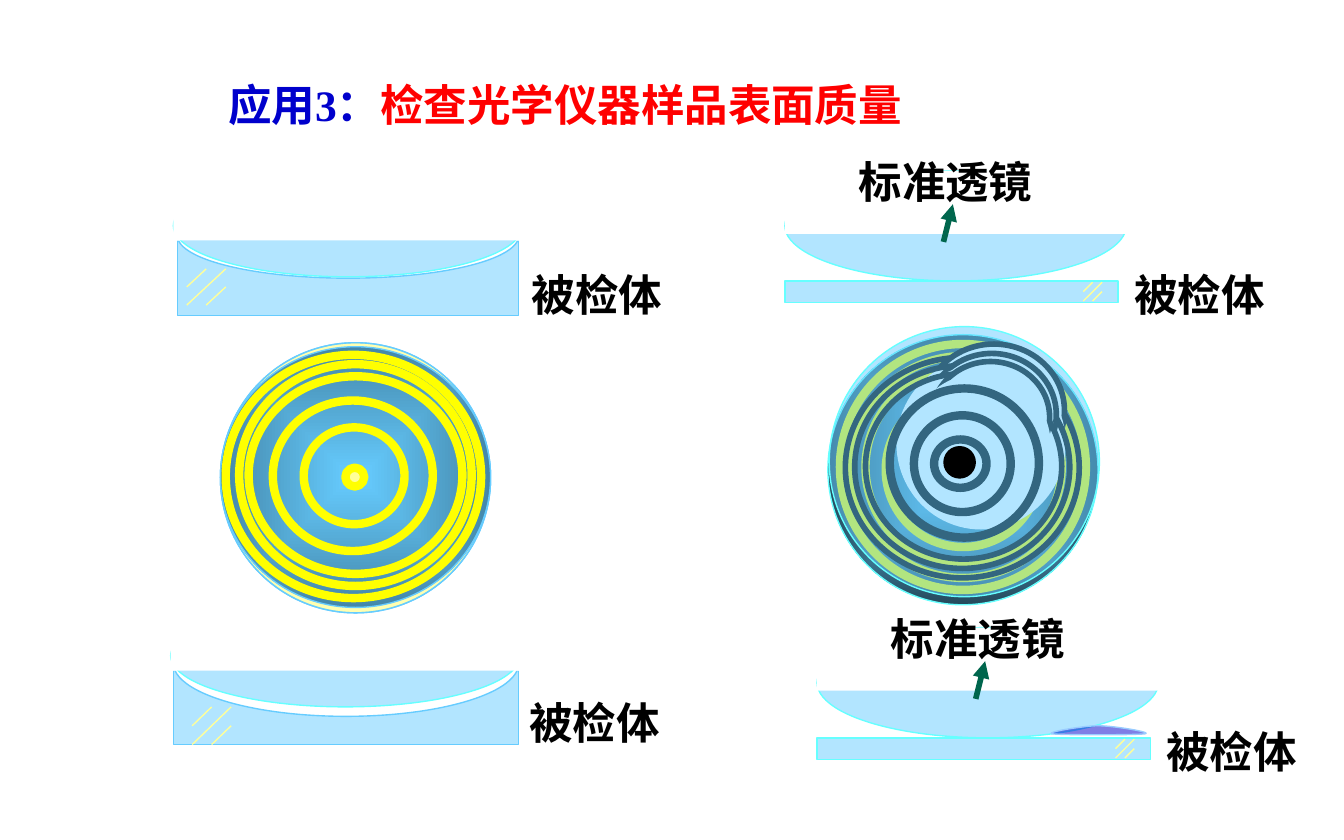
"""Builds a slide on checking optical sample surfaces with interference rings."""
import pptx
import pptx.util
import pptx.dml.color
import pptx.enum.shapes
import pptx.enum.text
import pptx.oxml.ns
from lxml import etree

EMU = 9144
WIDTH, HEIGHT = 1000, 625

THEME = {
    "latin": "Times New Roman", "cjk": "Noto Sans CJK SC", "size": 23.3,
    "ink": "000000", "topic": "0000CC", "headline": "FF0000",
    "hatch": "FFFF99", "arrow": "00664D",
}
STYLES = {
    "glass": ("66CCFF", 50, "66CCFF", 0.75),
    "lens": ("66CCFF", 50, "66FFFF", 0.75),
    "hollow": ("FFFFFF", 100, "66CCFF", 0.75),
    "blank": ("FFFFFF", 100, None, 0),
    "halo": ("FFFF99", 50, "66CCFF", 0.75),
    "left disc": (("66CCFF", "4487A9"), 100, "66CCFF", 0.75),
    "right disc": (("66CCFF", "254A5C"), 100, "66FFFF", 0.75),
    "bright ring": (None, 100, "FFFF00", 4.5),
    "left core": ("FFFF99", 100, "FFFF00", 4.5),
    "right core": ("66CCFF", 100, "FFFF00", 4.5),
    "thin ring": (None, 100, "000000", 3),
    "bump": ("FFFFFF", 100, "000000", 3),
    "dark ring": (None, 100, "000000", 4.5),
    "dark core": ("000000", 100, "000000", 4.5),
    "defect": ("0000CC", 50, "99CCFF", 0.75),
}

TITLE = [("应用3：", "topic"), ("检查光学仪器样品表面质量", "headline")]
TITLE_BOX = (160, 53, 550, 49)
SAMPLE, STANDARD = "被检体", "标准透镜"

CONCAVE = [
    ("rect", "glass", (129, 482, 257, 72)),
    ("oval", "hollow", (129, 454, 257, 79)),
    ("rect", "blank", (122, 443, 279, 56)),
    ("rect", "glass", (132, 172, 254, 63)),
    ("oval", "hollow", (132, 144, 254, 63)),
    ("rect", "blank", (125, 144, 268, 35)),
    ("oval", "lens", (129, 130, 260, 76)),
    ("rect", "blank", (129, 123, 271, 56)),
    ("oval", "lens", (127, 450, 260, 76)),
    ("rect", "blank", (127, 443, 271, 56)),
]
CONCAVE_HATCHES = [(143, 526, 29, 28), (139, 200, 29, 27)]
CONCAVE_LABELS = [(384, 513, 119, 49), (386, 194, 130, 49)]

FLAT_ORIGINS = [(584, 127), (608, 467)]
FLAT = [
    ("rect", "lens", (0, 82, 248, 16)),
    ("oval", "lens", (0, 0, 254, 82)),
    ("rect", "blank", (0, 0, 264, 47)),
]
FLAT_HATCH = (222, 83, 14, 14)
FLAT_LABELS = [(SAMPLE, (250, 67, 118, 49)), (STANDARD, (45, -17, 151, 49))]
FLAT_ARROW = (118, 53, 125, 25)

RINGS = [
    ("halo", [(164, 255, 201, 201)] * 2),
    ("left disc", [(164, 258, 201, 194)]),
    ("bright ring", [(203, 298, 119, 112), (185, 280, 159, 147), (178, 271, 173, 165),
                     (168, 264, 190, 181), (226, 318, 75, 72)]),
    ("left core", [(257, 348, 14, 14)]),
    ("right disc", [(616, 249, 201, 201)]),
    ("bright ring", [(659, 292, 115, 115), (644, 274, 146, 147), (634, 265, 165, 165),
                     (625, 256, 183, 183), (681, 311, 72, 72)]),
    ("right core", [(708, 338, 18, 18)]),
    ("thin ring", [(629, 266, 174, 164)]),
    ("bump", [(687, 256, 105, 99)]),
    ("blank", [(667, 266, 126, 128)]),
    ("thin ring", [(636, 272, 160, 151)]),
    ("bump", [(690, 263, 96, 91)]),
    ("blank", [(670, 272, 116, 118)]),
    ("thin ring", [(644, 278, 146, 138)]),
    ("bump", [(693, 269, 88, 83)]),
    ("blank", [(676, 278, 106, 108)]),
    ("dark ring", [(680, 309, 72, 72), (662, 289, 111, 111), (695, 327, 39, 36)]),
    ("lens", [(617, 243, 201, 201)]),
    ("dark core", [(705, 335, 18, 18)]),
]
DEFECT_CURVES = [
    ((783, 546), (788, 547), (846, 547), (852, 546)),
    ((852, 546), (858, 545), (829, 540), (817, 540)),
    ((817, 540), (806, 540), (777, 545), (783, 546)),
]
CURVE_STEPS = 16


def px(*values):
    return [round(v * EMU) for v in values]


def rgb(code):
    return pptx.dml.color.RGBColor.from_string(code)


def sub(parent, tag, **attrs):
    return etree.SubElement(parent, pptx.oxml.ns.qn(tag), **attrs)


def shifted(box, origin):
    return (box[0] + origin[0], box[1] + origin[1], *box[2:])


def paint(sp, style):
    fill, alpha, line, width = STYLES[style]
    sp.shadow.inherit = False
    if fill is None:
        sp.fill.background()
    elif isinstance(fill, tuple):
        sp.fill.gradient()
        for stop, color, position in zip(sp.fill.gradient_stops, fill, (0, 1)):
            stop.color.rgb, stop.position = rgb(color), position
        grad = sp._element.spPr.find(pptx.oxml.ns.qn("a:gradFill"))
        grad.remove(grad.find(pptx.oxml.ns.qn("a:lin")))
        shade = sub(grad, "a:path", path="shape")
        sub(shade, "a:fillToRect", **dict.fromkeys("ltrb", "50000"))
    else:
        sp.fill.solid()
        sp.fill.fore_color.rgb = rgb(fill)
        if alpha < 100:
            color = sp._element.spPr.find(".//" + pptx.oxml.ns.qn("a:srgbClr"))
            sub(color, "a:alpha", val=str(alpha * 1000))
    if line is None:
        sp.line.fill.background()
    else:
        sp.line.color.rgb = rgb(line)
        sp.line.width = pptx.util.Pt(width)


def add_shape(s, kind, style, box):
    shapes = pptx.enum.shapes.MSO_SHAPE
    preset = shapes.OVAL if kind == "oval" else shapes.RECTANGLE
    paint(s.shapes.add_shape(preset, *px(*box)), style)


def add_line(s, ends, color, width, arrow=False):
    straight = pptx.enum.shapes.MSO_CONNECTOR.STRAIGHT
    cx = s.shapes.add_connector(straight, *px(*ends))
    cx.line.color.rgb = rgb(THEME[color])
    cx.line.width = pptx.util.Pt(width)
    if arrow:
        sub(cx.line._get_or_add_ln(), "a:tailEnd", type="triangle")
    sub(cx._element.spPr, "a:effectLst")


def add_hatch(s, box):
    x, y, w, h = box
    mid_x, mid_y, right, bottom = x + w / 2, y + h / 2, x + w, y + h
    for ends in [(x, mid_y, mid_x, y), (mid_x, bottom, right, mid_y), (x, bottom, right, y)]:
        add_line(s, ends, "hatch", 0.75)


def add_text(s, runs, box, latin="cjk", wrap=False):
    tf = s.shapes.add_textbox(*px(*box)).text_frame
    tf.word_wrap = wrap
    tf.vertical_anchor = pptx.enum.text.MSO_ANCHOR.MIDDLE
    p = tf.paragraphs[0]
    for text, color in runs:
        r = p.add_run()
        r.text = text
        r.font.size = pptx.util.Pt(THEME["size"])
        r.font.bold = True
        r.font.color.rgb = rgb(THEME[color])
        r.font.name = THEME[latin]
        sub(r._r.get_or_add_rPr(), "a:ea", typeface=THEME["cjk"])


def curve_points(a, b, c, d):
    for step in range(1, CURVE_STEPS + 1):
        t = step / CURVE_STEPS
        u = 1 - t
        yield px(*(u**3 * i + 3 * u * u * t * j + 3 * u * t * t * k + t**3 * m
                   for i, j, k, m in zip(a, b, c, d)))


def add_defect(s):
    builder = s.shapes.build_freeform(*px(*DEFECT_CURVES[0][0]))
    builder.add_line_segments([pt for curve in DEFECT_CURVES for pt in curve_points(*curve)])
    paint(builder.convert_to_shape(), "defect")


def main():
    prs = pptx.Presentation()
    prs.slide_width, prs.slide_height = px(WIDTH, HEIGHT)
    s = prs.slides.add_slide(prs.slide_layouts[6])
    add_text(s, TITLE, TITLE_BOX, "latin", wrap=True)
    for item in CONCAVE:
        add_shape(s, *item)
    for box in CONCAVE_HATCHES:
        add_hatch(s, box)
    for box in CONCAVE_LABELS:
        add_text(s, [(SAMPLE, "ink")], box)
    for style, boxes in RINGS:
        for box in boxes:
            add_shape(s, "oval", style, box)
    for origin in FLAT_ORIGINS:
        for kind, style, box in FLAT:
            add_shape(s, kind, style, shifted(box, origin))
        add_hatch(s, shifted(FLAT_HATCH, origin))
        for text, box in FLAT_LABELS:
            add_text(s, [(text, "ink")], shifted(box, origin))
        start, end = FLAT_ARROW[:2], FLAT_ARROW[2:]
        add_line(s, shifted(start, origin) + shifted(end, origin), "arrow", 3, arrow=True)
    add_defect(s)
    prs.save("out.pptx")


if __name__ == "__main__":
    main()
